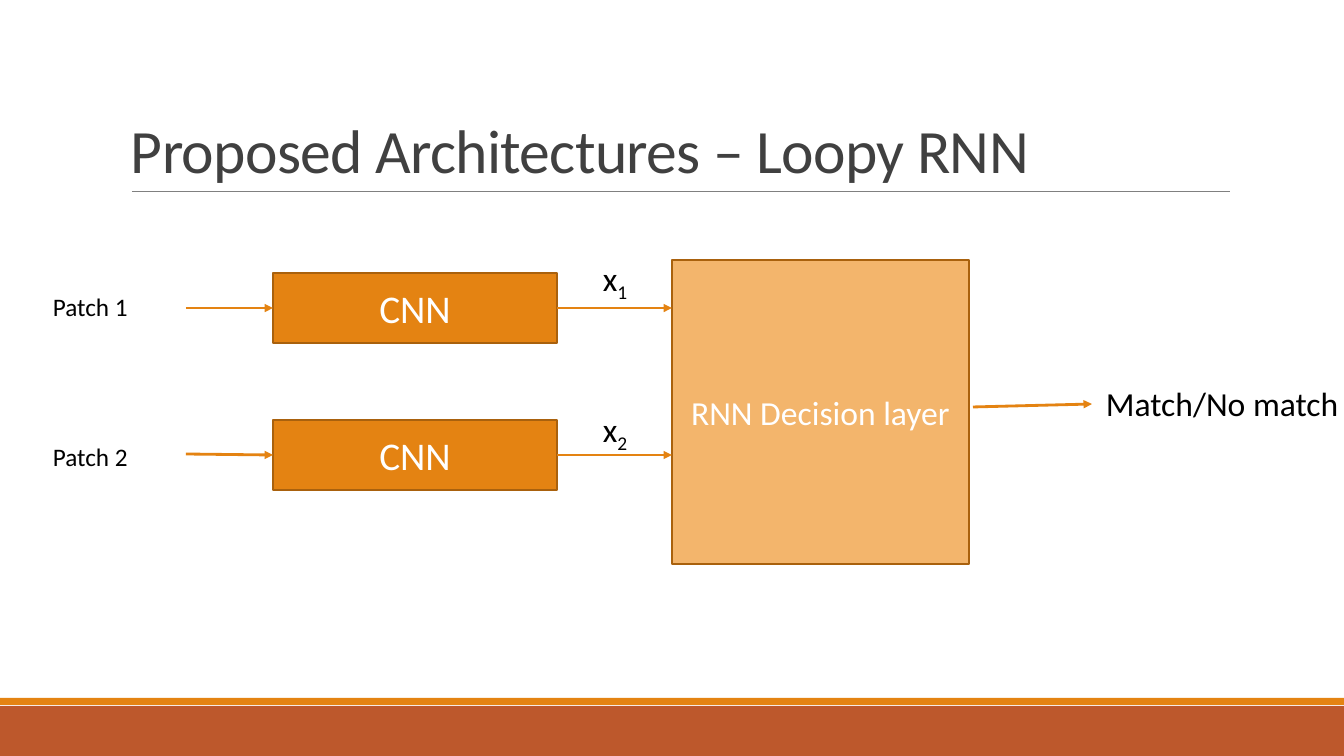
from lxml import etree
from pptx import Presentation
from pptx.dml.color import RGBColor
from pptx.enum.shapes import MSO_CONNECTOR, MSO_SHAPE
from pptx.enum.text import MSO_ANCHOR, PP_ALIGN
from pptx.oxml.ns import qn
from pptx.util import Pt

RECTANGLE = MSO_SHAPE.RECTANGLE
STRAIGHT = MSO_CONNECTOR.STRAIGHT
TOP, MIDDLE, BOTTOM = MSO_ANCHOR.TOP, MSO_ANCHOR.MIDDLE, MSO_ANCHOR.BOTTOM
CENTER = PP_ALIGN.CENTER
EMU_PER_PX = 914400 / 100.8
FONT = "Calibri"
COLORS = {
    "band": "BD582C",
    "accent": "E48312",
    "outline": "A9610D",
    "decision": "F3B56C",
    "rule": "808080",
    "title": "404040",
    "text": "000000",
    "light": "FFFFFF",
}


def px(*lengths):
    return [round(length * EMU_PER_PX) for length in lengths]


def color(name):
    return RGBColor.from_string(COLORS[name])


def style_span(span, size, color_name):
    span.font.name = FONT
    span.font.size = Pt(size)
    span.font.color.rgb = color(color_name)


def add_block(page, bounds, fill, outline=None, text="", size=28):
    box = page.shapes.add_shape(RECTANGLE, *px(*bounds))
    box.shadow.inherit = False
    box.fill.solid()
    box.fill.fore_color.rgb = color(fill)
    if outline:
        box.line.color.rgb = color(outline)
        box.line.width = Pt(1.25)
    else:
        box.line.fill.background()
    if text:
        frame = box.text_frame
        frame.text = text
        frame.word_wrap = True
        frame.vertical_anchor = MIDDLE
        para = frame.paragraphs[0]
        para.alignment = CENTER
        style_span(para.runs[0], size, "light")


def add_label(page, bounds, text, size, color_name="text", subscript="", anchor=TOP):
    frame = page.shapes.add_textbox(*px(*bounds)).text_frame
    frame.word_wrap = True
    frame.vertical_anchor = anchor
    para = frame.paragraphs[0]
    para.text = text
    if subscript:
        para.add_run().text = subscript
        para.runs[1].font._element.set("baseline", "-25000")
    for span in para.runs:
        style_span(span, size, color_name)
    return para


def add_line(page, start, end, color_name, width, arrow=False):
    line = page.shapes.add_connector(STRAIGHT, *px(*start, *end))
    line.line.color.rgb = color(color_name)
    line.line.width = Pt(width)
    if arrow:
        head = etree.SubElement(line.line._get_or_add_ln(), qn("a:tailEnd"))
        head.set("type", "triangle")
    etree.SubElement(line._element.spPr, qn("a:effectLst"))


def add_arrow(page, start, end):
    add_line(page, start, end, "accent", 2, arrow=True)


def add_frame(page):
    add_block(page, (0, 706, 1344, 50), "band")
    add_block(page, (0, 698, 1344, 7), "accent")
    add_line(page, (132, 191), (1230, 191), "rule", 0.5)
    title = add_label(page, (121, 31, 1109, 160), "Proposed Architectures – Loopy RNN",
                      44, "title", anchor=BOTTOM)
    title.line_spacing = 0.85
    title.runs[0].font._element.set("spc", "-50")


def add_branch(page, number, block_top, patch_top, feature_top, arrow_start):
    middle = block_top + 35
    add_label(page, (43, patch_top, 107, 37), f"Patch {number}", 18)
    add_block(page, (273, block_top, 284, 70), "accent", "outline", "CNN")
    add_arrow(page, (186, arrow_start), (273, middle))
    add_arrow(page, (557, middle), (672, middle))
    add_label(page, (593, feature_top, 56, 50), "x", 24, subscript=str(number))


def main():
    deck = Presentation()
    deck.slide_width, deck.slide_height = px(1344, 756)
    page = deck.slides.add_slide(deck.slide_layouts[6])
    add_frame(page)
    add_block(page, (672, 260, 297, 304), "decision", "outline", "RNN Decision layer", 24)
    add_branch(page, 1, 273, 286, 253, 308)
    add_branch(page, 2, 420, 436, 404, 454)
    add_arrow(page, (973, 407), (1092, 404))
    add_label(page, (1096, 378, 276, 50), "Match/No match", 24)
    deck.save("out.pptx")


if __name__ == "__main__":
    main()
